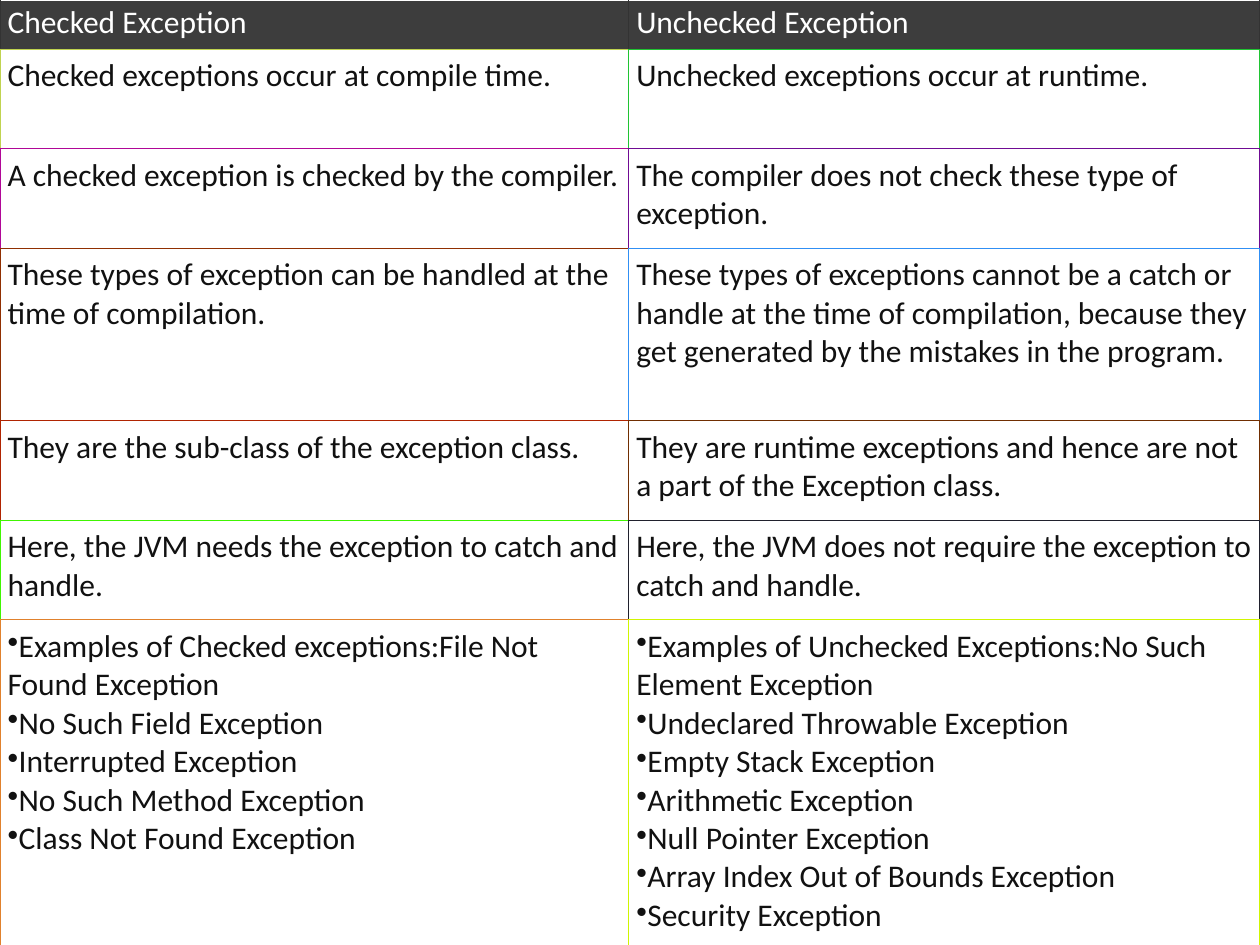
from lxml.etree import SubElement as Sub
from pptx import Presentation
from pptx.dml.color import RGBColor as Rgb
from pptx.oxml.ns import qn
from pptx.util import Inches, Pt

COLORS = {"head": "3D3D3D", "body": "FFFFFF", "light": "FFFFFF", "dark": "111111"}
COLS = [4.99, 5.01]
ROWS = [0.39, 0.79, 0.79, 1.37, 0.79, 0.79, 2.59]

# One row per line of the table; a list becomes bullets
TEXTS = [
    ("Checked Exception", "Unchecked Exception"),
    ("Checked exceptions occur at compile time.",
     "Unchecked exceptions occur at runtime."),
    ("A checked exception is checked by the compiler.",
     "The compiler does not check these type of exception."),
    ("These types of exception can be handled at the time of compilation.",
     "These types of exceptions cannot be a catch or handle at the time of "
     "compilation, because they get generated by the mistakes in the program."),
    ("They are the sub-class of the exception class.",
     "They are runtime exceptions and hence are not a part of the Exception class."),
    ("Here, the JVM needs the exception to catch and handle.",
     "Here, the JVM does not require the exception to catch and handle."),
    (["Examples of Checked exceptions:File Not Found Exception",
      "No Such Field Exception", "Interrupted Exception",
      "No Such Method Exception", "Class Not Found Exception"],
     ["Examples of Unchecked Exceptions:No Such Element Exception",
      "Undeclared Throwable Exception", "Empty Stack Exception",
      "Arithmetic Exception", "Null Pointer Exception",
      "Array Index Out of Bounds Exception", "Security Exception"]),
]

# Each cell's own border colour
EDGES = [("333333", "333333"), ("C0D350", "20C433"), ("B00797", "700B94"),
         ("902F01", "308FF4"), ("B02401", "702E01"), ("40F501", "20212D"),
         ("E0812D", "D0F501")]


def add_bullet(para):
    props = para._p.get_or_add_pPr()
    props.set("marL", "0")
    props.set("indent", "0")
    Sub(props, qn("a:buChar")).set("char", "•")


def set_text(cell, text, color):
    items = text if isinstance(text, list) else [text]
    frame = cell.text_frame
    frame.text = "\n".join(items)
    for para in frame.paragraphs:
        font = para.font
        font.name, font.size, font.bold = "Calibri", Pt(18), False
        font.color.rgb = Rgb.from_string(COLORS[color])
        if isinstance(text, list):
            add_bullet(para)


def set_edges(cell, edges):
    props = cell._tc.get_or_add_tcPr()
    for place, (side, color) in enumerate(edges.items()):
        line = Sub(props, qn("a:ln" + side), w=str(Pt(0.75)))
        fill = Sub(line, qn("a:solidFill"))
        Sub(fill, qn("a:srgbClr")).set("val", color)
        props.insert(place, line)


def find_edges(row, col):
    # Right and bottom edges take the colour of the neighbour, if there is one
    own = EDGES[row][col]
    below = EDGES[min(row + 1, len(ROWS) - 1)][col]
    edges = {"L": own, "R": EDGES[row][-1], "T": own, "B": below}
    if row == 0:
        del edges["T"]
    return edges


def fill_cell(cell, row, col):
    head = row == 0
    cell.margin_left = cell.margin_right = Inches(0.06)
    cell.margin_top = cell.margin_bottom = Inches(0.03 if head else 0.06)
    cell.fill.solid()
    cell.fill.fore_color.rgb = Rgb.from_string(COLORS["head" if head else "body"])
    set_text(cell, TEXTS[row][col], "light" if head else "dark")
    set_edges(cell, find_edges(row, col))


def add_grid(slide, width, height):
    table = slide.shapes.add_table(len(ROWS), len(COLS), 0, 0, width, height).table
    table.horz_banding = False
    for col, size in enumerate(COLS):
        table.columns[col].width = Inches(size)
    for row, size in enumerate(ROWS):
        table.rows[row].height = Inches(size)
        for col in range(len(COLS)):
            fill_cell(table.cell(row, col), row, col)


def main():
    deck = Presentation()
    deck.slide_width, deck.slide_height = Inches(10), Inches(7.5)
    slide = deck.slides.add_slide(deck.slide_layouts[6])
    add_grid(slide, deck.slide_width, deck.slide_height)
    deck.save("out.pptx")


main()
